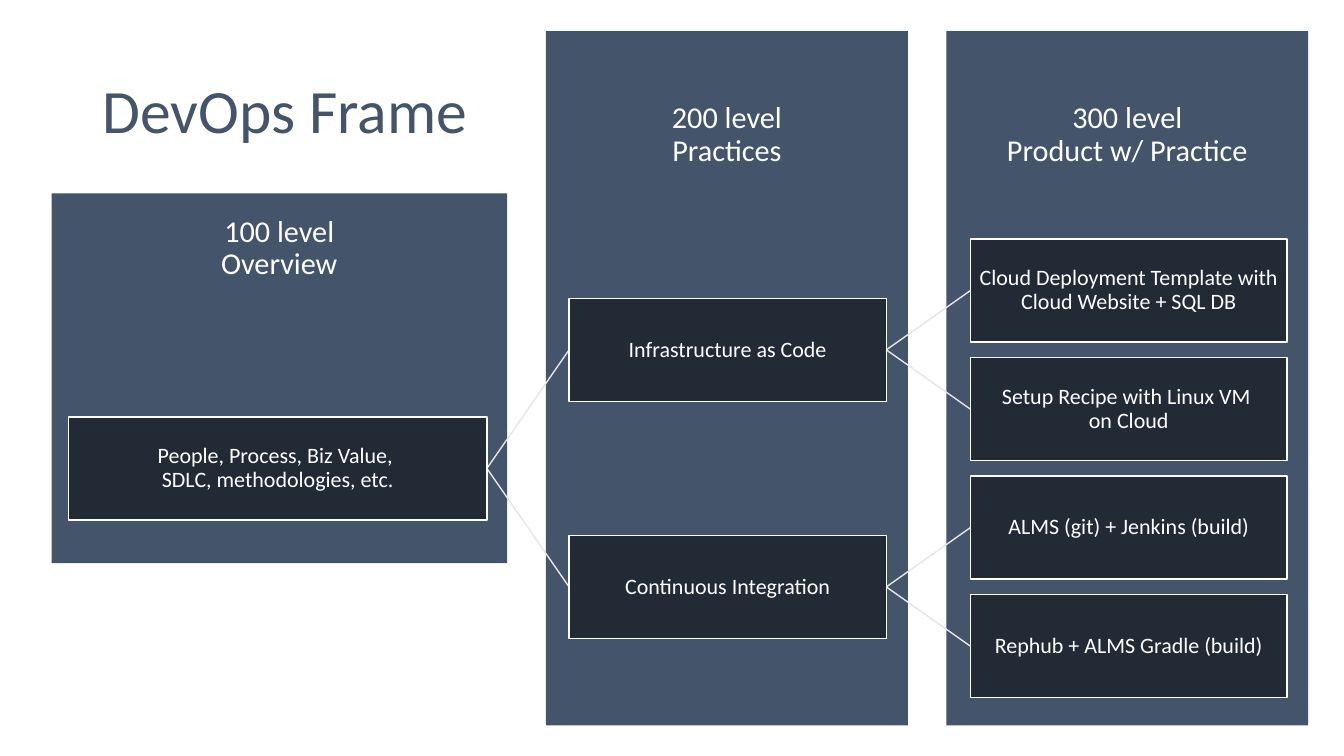
from dataclasses import dataclass

from lxml import etree
from pptx import Presentation
from pptx.dml.color import RGBColor
from pptx.enum.shapes import MSO_CONNECTOR, MSO_SHAPE
from pptx.enum.text import MSO_ANCHOR, PP_ALIGN
from pptx.oxml.ns import qn
from pptx.slide import Slide
from pptx.text.text import TextFrame
from pptx.util import Pt

RECTANGLE = MSO_SHAPE.RECTANGLE
STRAIGHT = MSO_CONNECTOR.STRAIGHT
MIDDLE = MSO_ANCHOR.MIDDLE
LEFT = PP_ALIGN.LEFT
CENTER = PP_ALIGN.CENTER

COLORS = {
    "panel": "44546A",
    "card": "222A35",
    "link": "E7E6E6",
    "white": "FFFFFF",
}
FONT = "Calibri"
CARD_HEIGHT = 73.6
FIRST_CARD_TOP = 170.8
CARD_PITCH = 84.65


@dataclass
class Level:
    heading: str
    left: float
    top: float
    width: float
    height: float
    heading_height: float
    card_left: float
    card_width: float


@dataclass
class Card:
    text: str
    level: Level
    row: float

    @property
    def top(self) -> float:
        return FIRST_CARD_TOP + self.row * CARD_PITCH

    @property
    def middle(self) -> float:
        return self.top + CARD_HEIGHT / 2


OVERVIEW = Level("100 level\vOverview", 36.8, 138.2, 325.4, 264.2, 79.2, 49, 298.8)
PRACTICES = Level("200 level\vPractices", 390, 22.2, 258.5, 496, 149, 406.5, 226.6)
PRODUCTS = Level("300 level\vProduct w/ Practice", 676, 22.2, 258.5, 496, 149, 693.1, 226.3)

PEOPLE = Card("People, Process, Biz Value, \vSDLC, methodologies, etc.", OVERVIEW, 1.5)
INFRASTRUCTURE = Card("Infrastructure as Code", PRACTICES, 0.5)
INTEGRATION = Card("Continuous Integration", PRACTICES, 2.5)
TEMPLATE = Card("Cloud Deployment Template with Cloud Website + SQL DB", PRODUCTS, 0)
RECIPE = Card("Setup Recipe with Linux VM \von Cloud", PRODUCTS, 1)
JENKINS = Card("ALMS (git) + Jenkins (build)", PRODUCTS, 2)
GRADLE = Card("Rephub + ALMS Gradle (build)", PRODUCTS, 3)

BRANCHES = [
    (PEOPLE, [INFRASTRUCTURE, INTEGRATION]),
    (INFRASTRUCTURE, [TEMPLATE, RECIPE]),
    (INTEGRATION, [JENKINS, GRADLE]),
]


def rgb(name: str) -> RGBColor:
    return RGBColor.from_string(COLORS[name])


def write(frame: TextFrame, text: str, size: float, color: str,
          align: PP_ALIGN, inset: float) -> None:
    frame.word_wrap = True
    frame.vertical_anchor = MIDDLE
    frame.margin_left = frame.margin_right = Pt(inset)
    frame.margin_top = frame.margin_bottom = Pt(inset)
    paragraph = frame.paragraphs[0]
    paragraph.text = text
    paragraph.alignment = align
    paragraph.line_spacing = 0.9
    for run in paragraph.runs:
        run.font.name = FONT
        run.font.size = Pt(size)
        run.font.color.rgb = rgb(color)


def draw_title(slide: Slide) -> None:
    title = slide.shapes.add_textbox(Pt(66), Pt(28.8), Pt(828), Pt(104.4))
    write(title.text_frame, "DevOps Frame", 44, "panel", LEFT, 7.2)


def draw_level(slide: Slide, level: Level) -> None:
    left, top, width = Pt(level.left), Pt(level.top), Pt(level.width)
    panel = slide.shapes.add_shape(RECTANGLE, left, top, width, Pt(level.height))
    panel.shadow.inherit = False
    panel.fill.solid()
    panel.fill.fore_color.rgb = rgb("panel")
    panel.line.fill.background()
    heading = slide.shapes.add_textbox(left, top, width, Pt(level.heading_height))
    write(heading.text_frame, level.heading, 21.6, "white", CENTER, 12.2)


def draw_link(slide: Slide, parent: Card, child: Card) -> None:
    start = parent.level.card_left + parent.level.card_width
    link = slide.shapes.add_connector(
        STRAIGHT, Pt(start), Pt(parent.middle), Pt(child.level.card_left), Pt(child.middle))
    link.line.color.rgb = rgb("link")
    link.line.width = Pt(1)
    etree.SubElement(link._element.spPr, qn("a:effectLst"))


def draw_card(slide: Slide, card: Card) -> None:
    box = slide.shapes.add_shape(
        RECTANGLE, Pt(card.level.card_left), Pt(card.top),
        Pt(card.level.card_width), Pt(CARD_HEIGHT))
    box.shadow.inherit = False
    box.fill.solid()
    box.fill.fore_color.rgb = rgb("card")
    box.line.color.rgb = rgb("white")
    box.line.width = Pt(1)
    write(box.text_frame, card.text, 15.7, "white", CENTER, 3)


def main() -> None:
    deck = Presentation()
    deck.slide_width, deck.slide_height = Pt(960), Pt(540)
    slide = deck.slides.add_slide(deck.slide_layouts[6])
    draw_title(slide)
    for level in (PRODUCTS, PRACTICES, OVERVIEW):
        draw_level(slide, level)
    for parent, children in BRANCHES:
        for child in children:
            draw_link(slide, parent, child)
    draw_card(slide, PEOPLE)
    for _, children in BRANCHES:
        for child in children:
            draw_card(slide, child)
    deck.save("out.pptx")


if __name__ == "__main__":
    main()
